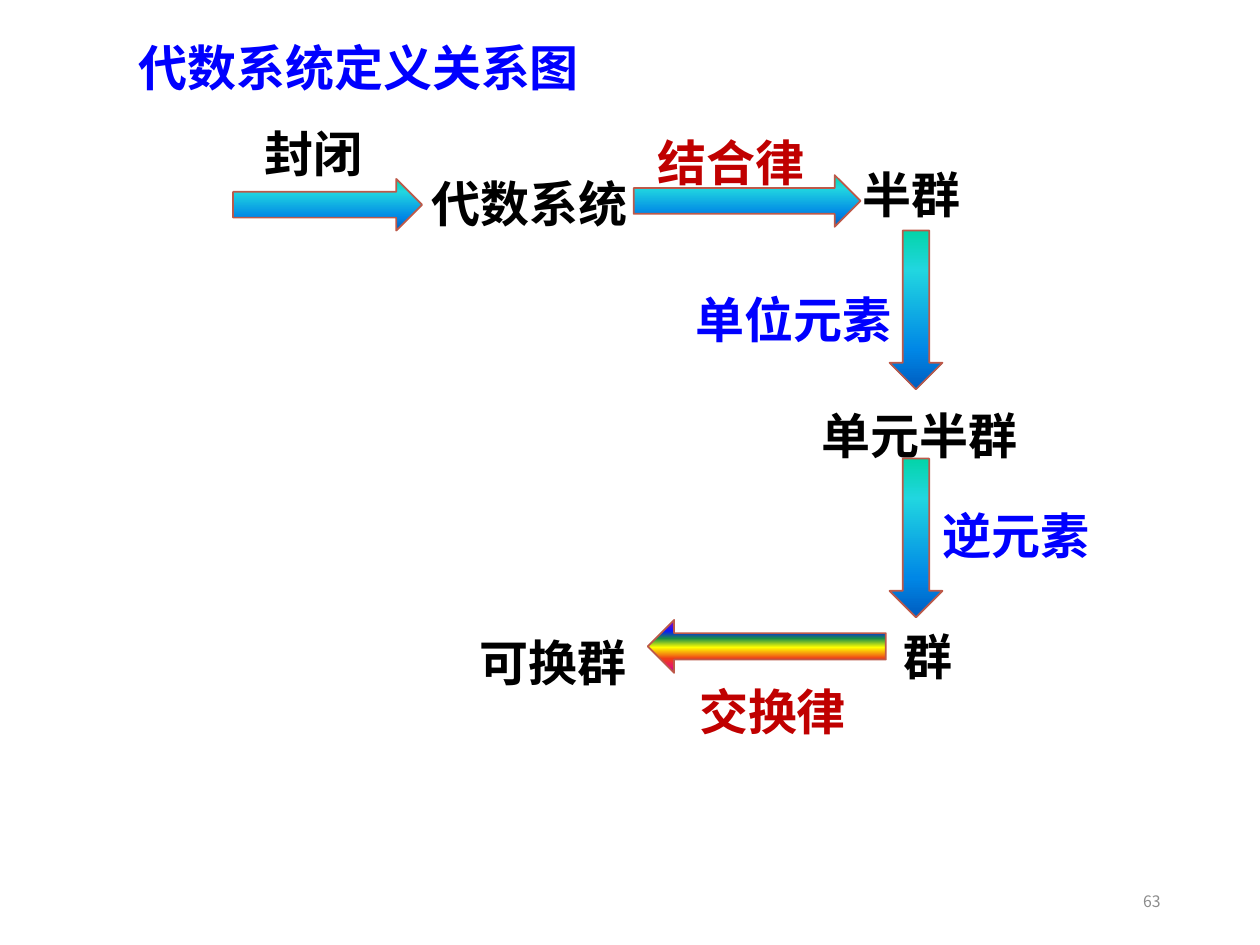
from dataclasses import dataclass

from lxml.etree import SubElement
from pptx import Presentation
from pptx.dml.color import RGBColor
from pptx.enum.shapes import MSO_SHAPE
from pptx.enum.text import MSO_ANCHOR, MSO_AUTO_SIZE, PP_ALIGN
from pptx.oxml.ns import qn
from pptx.util import Emu, Pt

PX = 9144  # 100 px to the inch


@dataclass(frozen=True)
class Theme:
    font: str = "Noto Sans CJK SC"
    title_font: str = "Times New Roman"
    text_size: int = 28
    number_size: int = 9
    black: str = "000000"
    blue: str = "0000FF"
    red: str = "C00000"
    gray: str = "8C8C8C"
    outline: str = "BD5949"
    ocean: tuple = ((0, "03D4A8"), (25, "21D6E0"), (75, "0087E6"), (100, "005CBF"))
    rainbow: tuple = ((0, "A603AB"), (21, "0819FB"), (35, "1A8D48"), (52, "FFFF00"),
                      (73, "EE3F17"), (88, "E81766"), (100, "A603AB"))


THEME = Theme()


def px(*lengths):
    return [Emu(length * PX) for length in lengths]


def write(shape, text, color, size=THEME.text_size, bold=True, latin=THEME.font,
          align=PP_ALIGN.LEFT, anchor=MSO_ANCHOR.TOP, wrap=True):
    frame = shape.text_frame
    frame.text = text
    frame.word_wrap = wrap
    frame.auto_size = MSO_AUTO_SIZE.NONE
    frame.vertical_anchor = anchor
    paragraph = frame.paragraphs[0]
    paragraph.alignment = align
    font = paragraph.font
    font.name, font.size, font.bold = latin, Pt(size), bold
    font.color.rgb = RGBColor.from_string(color)
    # East Asian typeface, which Chinese text uses
    defaults = paragraph._p.pPr.find(qn("a:defRPr"))
    SubElement(defaults, qn("a:ea"), typeface=THEME.font)


def add_term(shapes, left, top, text, color=THEME.black):
    """One unwrapped term; its box grows with the number of characters."""
    box = shapes.add_textbox(*px(left, top, 21 + 39 * len(text), 57))
    write(box, text, color, wrap=False)


def add_arrow(shapes, kind, box, stops):
    arrow = shapes.add_shape(kind, *px(*box))
    arrow.shadow.inherit = False
    arrow.line.color.rgb = RGBColor.from_string(THEME.outline)
    arrow.line.width = Pt(1)
    arrow.fill.gradient()
    arrow.fill.gradient_angle = 270  # top to bottom
    stop_list = next(arrow._element.spPr.iter(qn("a:gsLst")))
    for old_stop in list(stop_list):
        stop_list.remove(old_stop)
    for percent, color in stops:
        stop = SubElement(stop_list, qn("a:gs"), pos=str(percent * 1000))
        SubElement(stop, qn("a:srgbClr"), val=color)


def add_step(slide, kind, box, label, offset, color, stops=THEME.ocean):
    """An arrow and the law it adds, the label offset from the arrow's corner."""
    group = slide.shapes.add_group_shape()
    add_arrow(group.shapes, kind, box, stops)
    add_term(group.shapes, box[0] + offset[0], box[1] + offset[1], label, color)


def add_title(slide, box):
    title = slide.shapes.title
    title.left, title.top, title.width, title.height = px(*box)
    write(title, "代数系统定义关系图", THEME.blue, latin=THEME.title_font)


def add_diagram(slide, left, top):
    right, down, back = (MSO_SHAPE.RIGHT_ARROW, MSO_SHAPE.DOWN_ARROW,
                         MSO_SHAPE.LEFT_ARROW)
    # Algebraic structures
    for x, y, text in ((148, 40, "代数系统"), (490, 33, "半群"), (457, 224, "单元半群"),
                       (522, 399, "群"), (186, 404, "可换群")):
        add_term(slide.shapes, left + x, top + y, text)
    # Laws leading from one structure to the next
    for kind, (x, y, w, h), label, offset, color, stops in (
        (right, (0, 49, 150, 41), "封闭", (15, -49), THEME.black, THEME.ocean),
        (right, (318, 46, 180, 41), "结合律", (9, -39), THEME.red, THEME.ocean),
        (down, (521, 90, 42, 126), "单位元素", (-164, 42), THEME.blue, THEME.ocean),
        (down, (521, 271, 42, 126), "逆元素", (32, 32), THEME.blue, THEME.ocean),
        (back, (329, 399, 189, 42), "交换律", (31, 44), THEME.red, THEME.rainbow),
    ):
        add_step(slide, kind, (left + x, top + y, w, h), label, offset, color, stops)


def add_page_number(slide, box):
    number = slide.shapes.add_textbox(*px(*box))
    write(number, "63", THEME.gray, THEME.number_size, bold=False,
          align=PP_ALIGN.RIGHT, anchor=MSO_ANCHOR.MIDDLE)


def main():
    deck = Presentation()
    deck.slide_width, deck.slide_height = px(1000, 750)
    slide = deck.slides.add_slide(deck.slide_layouts[5])
    add_title(slide, (100, 25, 409, 57))
    add_diagram(slide, 185, 93)
    add_page_number(slide, (706, 695, 225, 40))
    deck.save("out.pptx")


if __name__ == "__main__":
    main()
